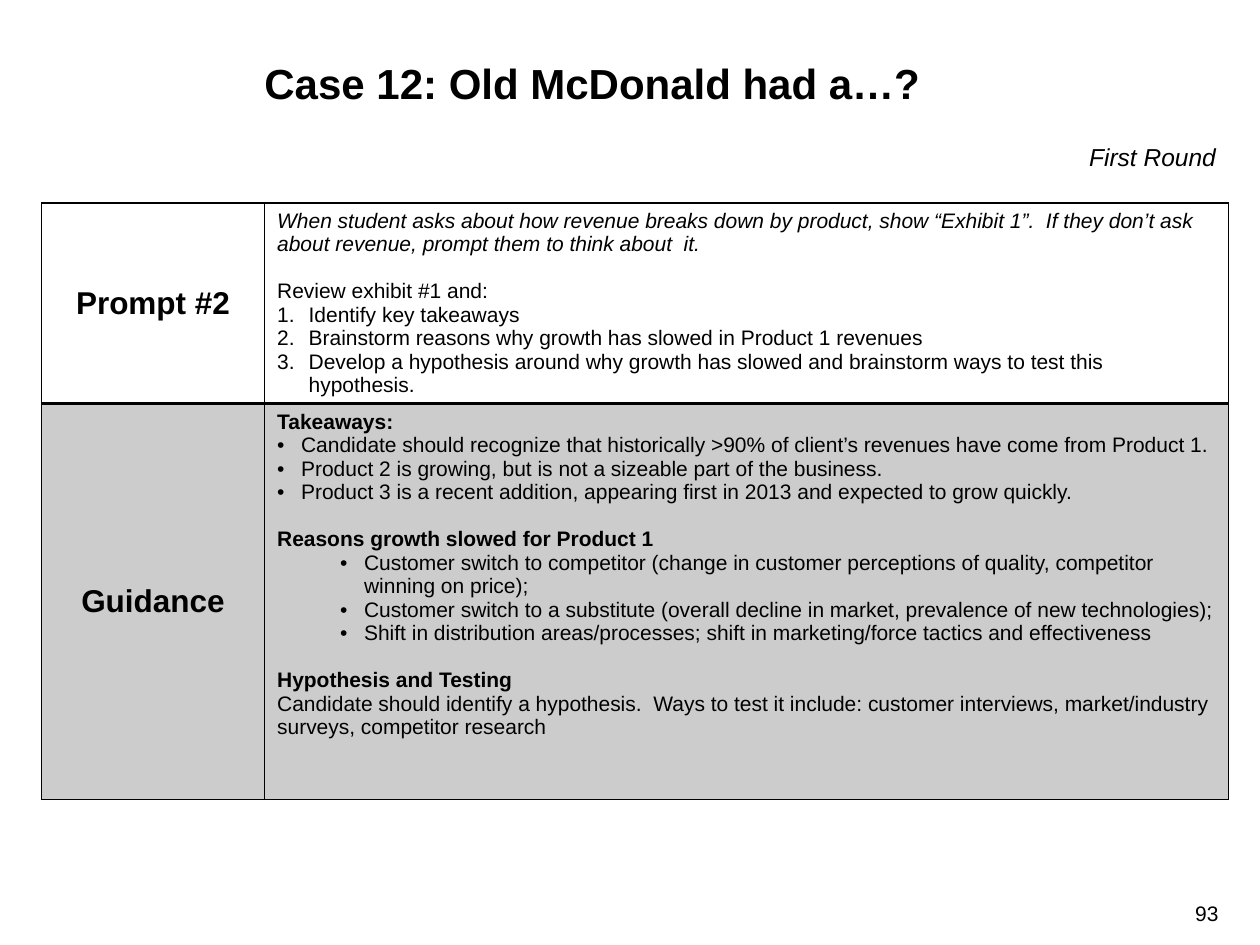
import pptx
import pptx.util
import pptx.dml.color
import pptx.enum.text
import pptx.oxml
import pptx.oxml.ns
from lxml import etree

Inches, Pt = pptx.util.Inches, pptx.util.Pt
ALIGN = pptx.enum.text.PP_ALIGN
ANCHOR = pptx.enum.text.MSO_ANCHOR
qn = pptx.oxml.ns.qn

FONT = "Arial"
COLORS = {"ink": "000000", "page": "FFFFFF"}

# Paragraph kinds: indent in inches, level, bullet, bold, italic
KINDS = {
    "head": dict(bold=True),
    "note": dict(italic=True),
    "plain": dict(),
    "step": dict(indent=(0.25, -0.25), bullet="number"),
    "dot": dict(indent=(0.19, -0.19), bullet="•"),
    "sub": dict(indent=(0.69, -0.19), bullet="•", level=1),
}
# Each line: kind, text, and whether a one-line gap comes before it
PROMPT = [
    ("note", "When student asks about how revenue breaks down by product, show “Exhibit 1”.  "
             "If they don’t ask about revenue, prompt them to think about  it.", False),
    ("plain", "Review exhibit #1 and:", True),
    ("step", "Identify key takeaways", False),
    ("step", "Brainstorm reasons why growth has slowed in Product 1 revenues", False),
    ("step", "Develop a hypothesis around why growth has slowed and brainstorm ways "
             "to test this hypothesis.", False),
]
GUIDE = [
    ("head", "Takeaways:", False),
    ("dot", "Candidate should recognize that historically >90% of client’s revenues "
            "have come from Product 1.", False),
    ("dot", "Product 2 is growing, but is not a sizeable part of the business.", False),
    ("dot", "Product 3 is a recent addition, appearing first in 2013 and expected "
            "to grow quickly.", False),
    ("head", "Reasons growth slowed for Product 1", True),
    ("sub", "Customer switch to competitor (change in customer perceptions of quality, "
            "competitor winning on price);", False),
    ("sub", "Customer switch to a substitute (overall decline in market, prevalence of "
            "new technologies);", False),
    ("sub", "Shift in distribution areas/processes; shift in marketing/force tactics "
            "and effectiveness", False),
    ("head", "Hypothesis and Testing", True),
    ("plain", "Candidate should identify a hypothesis.  Ways to test it include: customer "
              "interviews, market/industry surveys, competitor research", False),
]
# Each row: label, lines, height, shaded, top and bottom border in points
ROWS = [
    ("Prompt #2", PROMPT, 1.56, False, (1, 2)),
    ("Guidance", GUIDE, 3.14, True, (2, 1)),
]
COLS = [1.77, 7.65]
# Each box: text, left, top, width, height, size, align, bold, italic, margin
BOXES = [
    ("Case 12: Old McDonald had a…?", 2, 0.41, 6.5, 0.51, 24, ALIGN.LEFT, True, False, True),
    ("First Round", 8.17, 1.08, 1.58, 0.34, 14, ALIGN.RIGHT, False, True, True),
    ("93", 9.25, 7.15, 0.42, 0.25, 12, ALIGN.RIGHT, False, False, False),
]


def rgb(name):
    return pptx.dml.color.RGBColor.from_string(COLORS[name])


def add_run(para, text, size, bold=False, italic=False):
    run = para.add_run()
    run.text = text
    font = run.font
    font.name, font.size = FONT, Pt(size)
    font.bold, font.italic = bold, italic
    font.color.rgb = rgb("ink")


def set_bullet(para, mark, indent):
    props = para._p.get_or_add_pPr()
    props.set("marL", str(Inches(indent[0])))
    props.set("indent", str(Inches(indent[1])))
    if mark == "number":
        etree.SubElement(props, qn("a:buAutoNum"), type="arabicPeriod")
    else:
        etree.SubElement(props, qn("a:buFont"), typeface=FONT)
        etree.SubElement(props, qn("a:buChar"), char=mark)


def add_lines(frame, lines):
    for i, (kind, text, gap) in enumerate(lines):
        para = frame.add_paragraph() if i else frame.paragraphs[0]
        style = KINDS[kind]
        para.level = style.get("level", 0)
        if gap:
            para.space_before = Pt(13.5)
        if "bullet" in style:
            set_bullet(para, style["bullet"], style["indent"])
        add_run(para, text, 12, style.get("bold", False), style.get("italic", False))


def style_cell(cell, shaded, edges):
    """Set the fill and the four borders of a cell."""
    cell.fill.solid()
    cell.fill.fore_color.rgb = rgb("ink" if shaded else "page")
    props = cell._tc.get_or_add_tcPr()
    if shaded:
        tint = props.find(qn("a:solidFill")).find(qn("a:srgbClr"))
        etree.SubElement(tint, qn("a:alpha"), val="20000")
    top, bottom = edges
    for i, (side, width) in enumerate(zip("LRTB", (1, 1, top, bottom))):
        line = pptx.oxml.parse_xml(
            f'<a:ln{side} {pptx.oxml.ns.nsdecls("a")} w="{Pt(width)}"><a:solidFill>'
            f'<a:srgbClr val="{COLORS["ink"]}"/></a:solidFill></a:ln{side}>')
        props.insert(i, line)


def add_grid(slide):
    height = sum(row[2] for row in ROWS)
    grid = slide.shapes.add_table(len(ROWS), len(COLS), Inches(0.33), Inches(1.61),
                                  Inches(sum(COLS)), Inches(height)).table
    grid.first_row = grid.horz_banding = False
    for col, width in zip(grid.columns, COLS):
        col.width = Inches(width)
    for row, (label, lines, tall, shaded, edges) in zip(grid.rows, ROWS):
        row.height = Inches(tall)
        name, body = row.cells
        for cell in (name, body):
            style_cell(cell, shaded, edges)
        name.vertical_anchor = ANCHOR.MIDDLE
        para = name.text_frame.paragraphs[0]
        para.alignment = ALIGN.CENTER
        add_run(para, label, 18, True)
        add_lines(body.text_frame, lines)


def add_box(slide, text, left, top, width, height, size, align, bold, italic, margin):
    frame = slide.shapes.add_textbox(Inches(left), Inches(top),
                                     Inches(width), Inches(height)).text_frame
    frame.word_wrap = True
    if not margin:
        frame.margin_left = frame.margin_right = 0
        frame.margin_top = frame.margin_bottom = 0
    para = frame.paragraphs[0]
    para.alignment = align
    add_run(para, text, size, bold, italic)


def main():
    deck = pptx.Presentation()
    deck.slide_width, deck.slide_height = Inches(10), Inches(7.5)
    slide = deck.slides.add_slide(deck.slide_layouts[6])
    add_grid(slide)
    for box in BOXES:
        add_box(slide, *box)
    deck.save("out.pptx")


if __name__ == "__main__":
    main()
